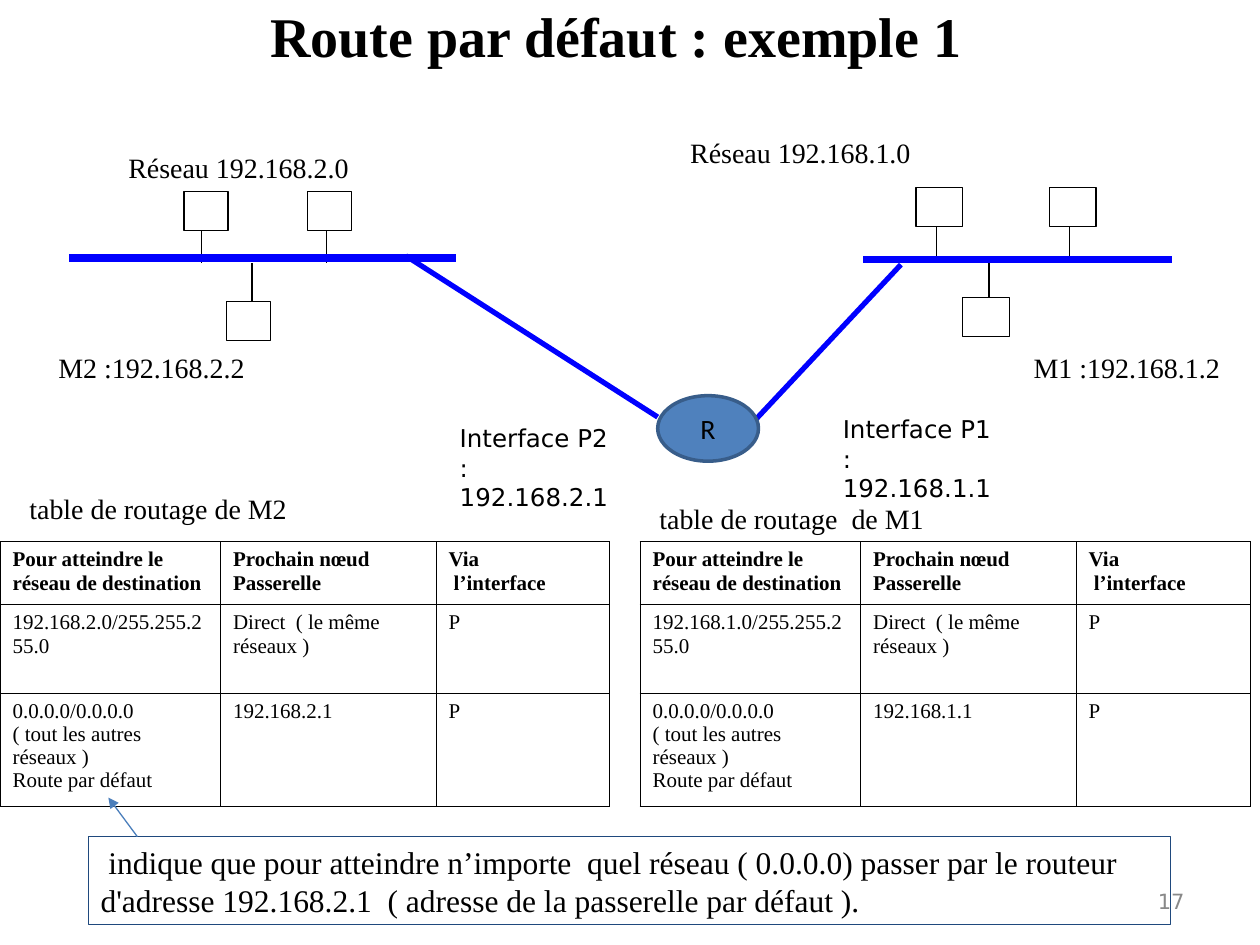
from pptx import Presentation
from pptx.dml.color import RGBColor
from pptx.enum.shapes import MSO_CONNECTOR, MSO_SHAPE
from pptx.enum.text import MSO_ANCHOR, MSO_AUTO_SIZE, PP_ALIGN
from pptx.oxml import parse_xml
from pptx.oxml.ns import nsdecls, qn
from pptx.util import Inches, Pt

BLACK = RGBColor(0, 0, 0)
WHITE = RGBColor(255, 255, 255)
BLUE = RGBColor(0, 0, 255)
ROUTER = RGBColor(0x4F, 0x81, 0xBD)
ROUTER_EDGE = RGBColor(0x38, 0x5D, 0x8A)
NAVY = RGBColor(0x1F, 0x49, 0x7D)
ARROW = RGBColor(0x4A, 0x7E, 0xBB)
GREY = RGBColor(0x89, 0x89, 0x89)
SERIF, SANS = "Times New Roman", "DejaVu Sans"

prs = Presentation()
prs.slide_width, prs.slide_height = Inches(10), Inches(7.5)
s = prs.slides.add_slide(prs.slide_layouts[5])


def write(tf, text, size, font=SERIF, color=BLACK, bold=False,
          align=PP_ALIGN.LEFT, anchor=MSO_ANCHOR.MIDDLE):
    tf.word_wrap = True
    tf.vertical_anchor = anchor
    for i, part in enumerate(text.split("\n")):
        p = tf.add_paragraph() if i else tf.paragraphs[0]
        p.alignment = align
        r = p.add_run()
        r.text = part
        r.font.size, r.font.name, r.font.bold = Pt(size), font, bold
        r.font.color.rgb = color


def connect(x1, y1, x2, y2, color, width):
    c = s.shapes.add_connector(MSO_CONNECTOR.STRAIGHT, Inches(x1), Inches(y1),
                               Inches(x2), Inches(y2))
    c.line.color.rgb, c.line.width = color, Pt(width)
    c._element.spPr.append(parse_xml(f"<a:effectLst {nsdecls('a')}/>"))
    return c


# Title
title = s.shapes.title
title.left, title.top = Inches(0.39), Inches(0)
title.width, title.height = Inches(9), Inches(0.56)
tf = title.text_frame
tf.auto_size = MSO_AUTO_SIZE.NONE
tf.margin_left = tf.margin_right = tf.margin_top = tf.margin_bottom = 0
write(tf, "Route par défaut : exemple 1", 32, bold=True, align=PP_ALIGN.CENTER)

# Networks: top of hosts, host width, host lefts, drop positions, bus
BOX_H, DROP = 0.31, 0.26
networks = [
    (1.52, 0.35, (1.46, 2.44, 1.80), (1.60, 2.59, 2.00), (0.55, 3.62, 2.05)),
    (1.49, 0.37, (7.27, 8.33, 7.64), (7.43, 8.49, 7.85), (6.85, 9.30, 2.06)),
]
for top, box_w, lefts, drops, (bus_l, bus_r, bus_y) in networks:
    end = top + BOX_H + DROP
    below = end + 0.3
    for left, x, y in zip(lefts, drops, (top, top, below)):
        host = s.shapes.add_shape(MSO_SHAPE.RECTANGLE, Inches(left), Inches(y),
                                  Inches(box_w), Inches(BOX_H))
        host.shadow.inherit = False
        host.fill.solid()
        host.fill.fore_color.rgb = WHITE
        host.line.color.rgb, host.line.width = BLACK, Pt(0.74)
        connect(x, below if y == below else y + BOX_H, x, end, BLACK, 0.74)
    connect(bus_l, bus_y, bus_r, bus_y, BLUE, 4.51)

# Router and its links
connect(3.22, 2.03, 5.22, 3.31, BLUE, 3)
connect(5.96, 3.37, 7.15, 2.10, BLUE, 3)
router = s.shapes.add_shape(MSO_SHAPE.OVAL, Inches(5.22), Inches(3.14),
                            Inches(0.8), Inches(0.52))
router.shadow.inherit = False
router.fill.solid()
router.fill.fore_color.rgb = ROUTER
router.line.color.rgb, router.line.width = ROUTER_EDGE, Pt(2)
write(router.text_frame, "R", 16, "Calibri", align=PP_ALIGN.CENTER)

# Labels
labels = [
    (0.92, 1.14, 2.99, "Réseau 192.168.2.0"),
    (5.38, 1.02, 3.34, "Réseau 192.168.1.0"),
    (0.31, 2.73, 1.78, " M2 :192.168.2.2"),
    (8.05, 2.73, 1.78, " M1 :192.168.1.2"),
    (0.08, 3.85, 3.44, " table de routage de M2"),
    (5.08, 3.93, 3.36, " table de routage  de M1"),
]
for x, y, w, text in labels:
    tb = s.shapes.add_textbox(Inches(x), Inches(y), Inches(w), Inches(0.37))
    write(tb.text_frame, text, 16)

for x, y, n in ((3.55, 3.31, 2), (6.59, 3.24, 1)):
    tb = s.shapes.add_textbox(Inches(x), Inches(y), Inches(1.41), Inches(0.57))
    write(tb.text_frame, f"Interface P{n} :\n192.168.{n}.1", 14, SANS,
          anchor=MSO_ANCHOR.TOP)

# Routing tables
COLS, ROWS = (1.75, 1.71, 1.38), (0.5, 0.7, 0.9)
for left, n in ((0, 2), (5.08, 1)):
    rows = [
        ("Pour atteindre le \nréseau de destination ",
         "Prochain nœud \nPasserelle ", "Via\n l’interface "),
        (f"192.168.{n}.0/255.255.255.0", "Direct  ( le même réseaux )", "P"),
        ("0.0.0.0/0.0.0.0\n( tout les autres réseaux )\nRoute par défaut",
         f"192.168.{n}.1", "P"),
    ]
    table = s.shapes.add_table(3, 3, Inches(left), Inches(4.3),
                               Inches(sum(COLS)), Inches(sum(ROWS))).table
    for col, w in zip(table.columns, COLS):
        col.width = Inches(w)
    for row, h in zip(table.rows, ROWS):
        row.height = Inches(h)
    for i, row in enumerate(rows):
        for j, text in enumerate(row):
            cell = table.cell(i, j)
            write(cell.text_frame, text, 12, bold=i == 0, anchor=MSO_ANCHOR.TOP)
            cell.fill.solid()
            cell.fill.fore_color.rgb = WHITE
            tcPr = cell._tc.get_or_add_tcPr()
            for k, side in enumerate(("lnL", "lnR", "lnT", "lnB")):
                tcPr.insert(k, parse_xml(
                    f'<a:{side} {nsdecls("a")} w="{Pt(0.45)}"><a:solidFill>'
                    f'<a:srgbClr val="{BLACK}"/></a:solidFill></a:{side}>'))

# Explanation with its arrow
note = s.shapes.add_shape(MSO_SHAPE.RECTANGLE, Inches(0.7), Inches(6.64),
                          Inches(8.59), Inches(0.7))
note.shadow.inherit = False
note.fill.background()
note.line.color.rgb, note.line.width = NAVY, Pt(0.74)
write(note.text_frame, " indique que pour atteindre n’importe  quel réseau "
      "( 0.0.0.0) passer par le routeur d'adresse 192.168.2.1  "
      "( adresse de la passerelle par défaut ).", 18, anchor=MSO_ANCHOR.TOP)
arrow = connect(1.09, 6.64, 0.86, 6.33, ARROW, 0.74)
arrow._element.spPr.find(qn("a:ln")).append(
    parse_xml(f'<a:tailEnd {nsdecls("a")} type="triangle"/>'))

# Slide number
tb = s.shapes.add_textbox(Inches(7.17), Inches(6.95), Inches(2.33), Inches(0.4))
write(tb.text_frame, "17", 12, SANS, GREY, align=PP_ALIGN.RIGHT)

prs.save("out.pptx")
